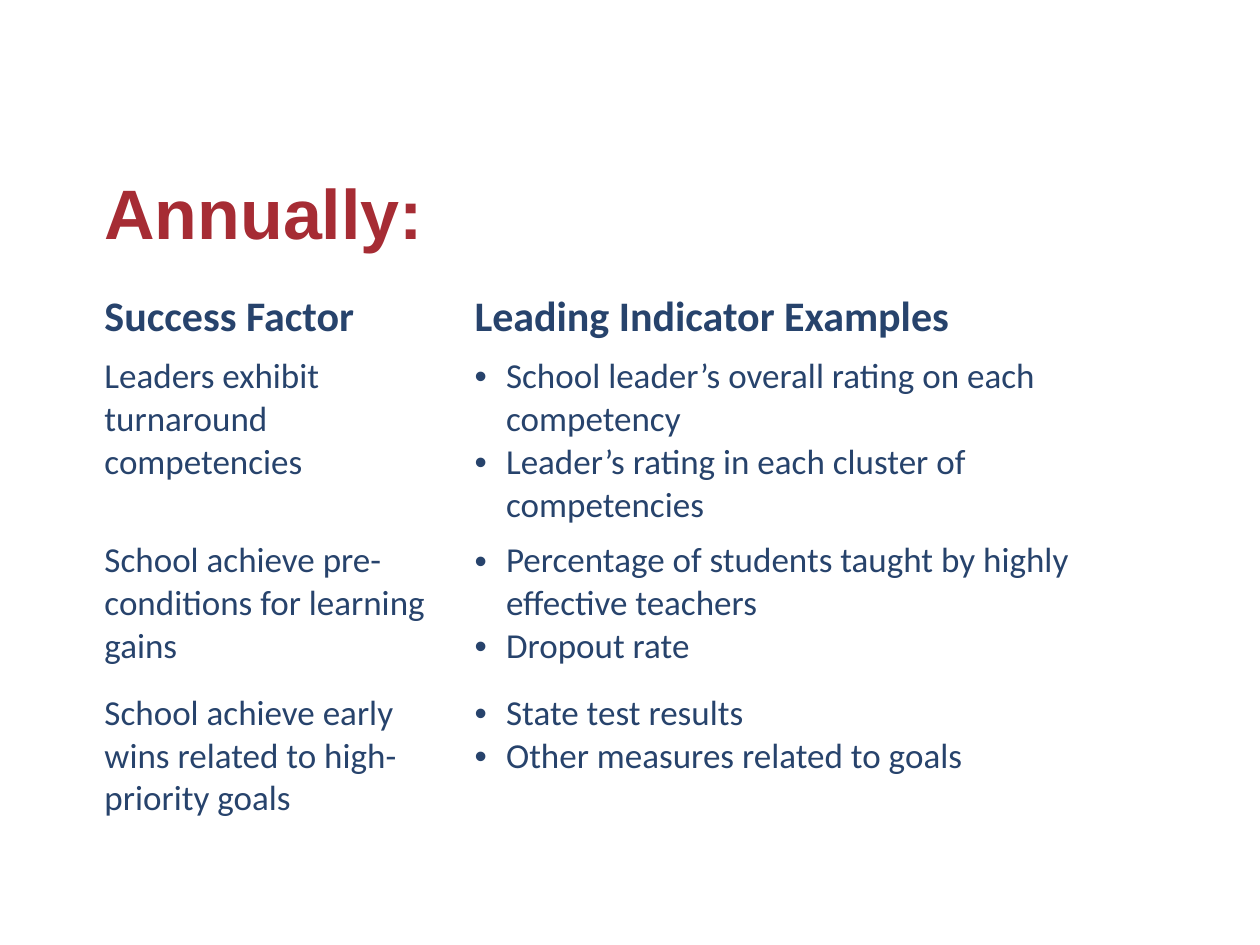
from lxml import etree
from pptx import Presentation
from pptx.dml.color import RGBColor
from pptx.enum import text
from pptx.oxml import ns
from pptx.util import Pt

RED = RGBColor(0xA6, 0x2C, 0x34)
NAVY = RGBColor(0x27, 0x43, 0x6C)
LEFT, WIDTH = Pt(52.5), Pt(619.5)

HEADINGS = ("Success Factor", "Leading Indicator Examples")
FACTORS = [
    ("Leaders exhibit turnaround competencies",
     ["School leader’s overall rating on each competency",
      "Leader’s rating in each cluster of competencies"]),
    ("School achieve pre-conditions for learning gains",
     ["Percentage of students taught by highly effective teachers",
      "Dropout rate"]),
    ("School achieve early wins related to high-priority goals",
     ["State test results",
      "Other measures related to goals"]),
]
COLUMN_WIDTHS = (211.5, 408)
ROW_HEIGHTS = (36.5, 105, 87, 80.5)


def fill_cell(cell, lines, size, bold=False, bulleted=False):
    cell.fill.background()
    cell.text_frame.text = "\n".join(lines)
    for paragraph in cell.text_frame.paragraphs:
        font = paragraph.font
        font.name, font.size, font.bold = "Calibri", Pt(size), bold
        font.color.rgb = NAVY
        if bulleted:
            properties = paragraph._p.get_or_add_pPr()
            properties.set("marL", str(Pt(18)))
            properties.set("indent", str(-Pt(18)))
            bullet_font = etree.Element(ns.qn("a:buFont"), typeface="Arial")
            bullet = etree.Element(ns.qn("a:buChar"), char="•")
            properties.insert(0, bullet_font)
            properties.insert(1, bullet)


presentation = Presentation()
presentation.slide_width, presentation.slide_height = Pt(720), Pt(540)
slide = presentation.slides.add_slide(presentation.slide_layouts[5])

# Title
title = slide.shapes.title
title.left, title.top, title.width, title.height = LEFT, Pt(83), WIDTH, Pt(75.5)
title.text_frame.text = "Annually:"
title.text_frame.vertical_anchor = text.MSO_ANCHOR.MIDDLE
paragraph = title.text_frame.paragraphs[0]
paragraph.alignment = text.PP_ALIGN.LEFT
paragraph.font.name, paragraph.font.size, paragraph.font.bold = "Arial", Pt(40), True
paragraph.font.color.rgb = RED

# Table grid
frame = slide.shapes.add_table(len(ROW_HEIGHTS), len(COLUMN_WIDTHS),
                               LEFT, Pt(163), WIDTH, Pt(sum(ROW_HEIGHTS)))
table = frame.table
table.first_row = table.horz_banding = False
for column, width in zip(table.columns, COLUMN_WIDTHS):
    column.width = Pt(width)
for row, height in zip(table.rows, ROW_HEIGHTS):
    row.height = Pt(height)

# Table text
for index, heading in enumerate(HEADINGS):
    fill_cell(table.cell(0, index), [heading], 24, bold=True)
for index, (factor, indicators) in enumerate(FACTORS, start=1):
    fill_cell(table.cell(index, 0), [factor], 20)
    fill_cell(table.cell(index, 1), indicators, 20, bulleted=True)

presentation.save("out.pptx")
